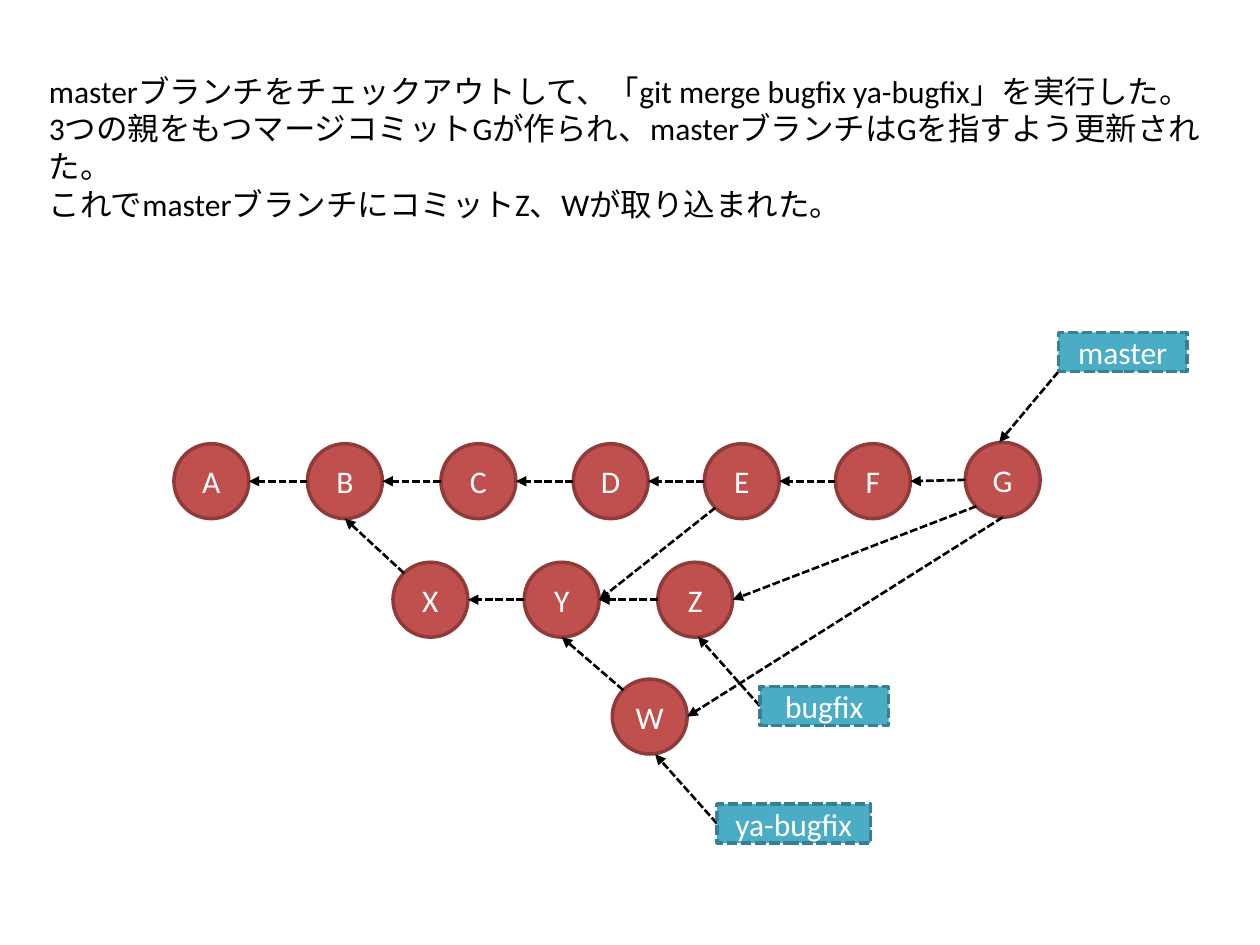
from math import cos, radians, sin

from pptx import Presentation
from pptx.dml.color import RGBColor
from pptx.enum import dml, shapes, text
from pptx.oxml import parse_xml
from pptx.oxml.ns import nsdecls
from pptx.util import Pt


def colour(value):
    return RGBColor.from_string(value)


class Diagram:
    font, size = "Calibri", 18
    diameter, label_height = 42.8, 22.4
    black, white = "000000", "FFFFFF"

    def __init__(self, slide):
        self.slide = slide

    def style(self, paragraph, ink):
        paragraph.font.name = self.font
        paragraph.font.size = Pt(self.size)
        paragraph.font.color.rgb = colour(ink)

    def description(self, left, top, width, height, lines):
        box = self.slide.shapes.add_textbox(*map(Pt, (left, top, width, height)))
        frame = box.text_frame
        frame.word_wrap = True
        frame.auto_size = text.MSO_AUTO_SIZE.SHAPE_TO_FIT_TEXT
        frame.text = "\n".join(lines)
        for paragraph in frame.paragraphs:
            self.style(paragraph, self.black)

    def node(self, kind, left, top, width, height, name, fill, border):
        node = self.slide.shapes.add_shape(kind, *map(Pt, (left, top, width, height)))
        node.shadow.inherit = False
        node.fill.solid()
        node.fill.fore_color.rgb = colour(fill)
        node.line.color.rgb = colour(border)
        node.line.width = Pt(2)
        frame = node.text_frame
        frame.text = name
        frame.vertical_anchor = text.MSO_ANCHOR.MIDDLE
        frame.paragraphs[0].alignment = text.PP_ALIGN.CENTER
        self.style(frame.paragraphs[0], self.white)
        return node

    def commit(self, name, x, y):
        d = self.diameter
        self.node(shapes.MSO_SHAPE.OVAL, x - d / 2, y - d / 2, d, d,
                  name, "C0504D", "8E3B39")

    def branch(self, name, left, top, width):
        label = self.node(shapes.MSO_SHAPE.RECTANGLE, left, top, width,
                          self.label_height, name, "4BACC6", "377F92")
        label.line.dash_style = dml.MSO_LINE.SQUARE_DOT

    def arrow(self, start, end):
        arrow = self.slide.shapes.add_connector(
            shapes.MSO_CONNECTOR.STRAIGHT, *map(Pt, (*start, *end)))
        arrow.line.color.rgb = colour(self.black)
        arrow.line.width = Pt(1.5)
        arrow.line.dash_style = dml.MSO_LINE.SQUARE_DOT
        arrow.line._get_or_add_ln().append(
            parse_xml(f'<a:tailEnd {nsdecls("a")} type="triangle"/>'))
        arrow._element.spPr.append(parse_xml(f'<a:effectLst {nsdecls("a")}/>'))


presentation = Presentation()
presentation.slide_width, presentation.slide_height = Pt(720), Pt(540)
diagram = Diagram(presentation.slides.add_slide(presentation.slide_layouts[6]))

# Description
diagram.description(20.9, 37.4, 679, 72.7, [
    "masterブランチをチェックアウトして、「git merge bugfix ya-bugfix」を実行した。",
    "3つの親をもつマージコミットGが作られ、masterブランチはGを指すよう更新された。",
    "これでmasterブランチにコミットZ、Wが取り込まれた。",
])

# Commits by centre
commits = {
    "A": (120.8, 275), "B": (197.1, 275), "C": (273.4, 275), "D": (349, 275),
    "E": (423.9, 275), "F": (498.8, 275), "G": (573, 274.2),
    "X": (246, 342.7), "Y": (321, 342.7), "Z": (397.3, 342.7),
    "W": (371.3, 409.5),
}
for name, centre in commits.items():
    diagram.commit(name, *centre)

# Parent arrows: child, angle on its rim, parent, angle on its rim
RIGHT, BOTTOM, BOTTOM_LEFT, LEFT, TOP_LEFT = 0, 90, 135, 180, 225


def rim(name, angle):
    x, y = commits[name]
    radius = diagram.diameter / 2
    return x + radius * cos(radians(angle)), y + radius * sin(radians(angle))


row_links = [(child, LEFT, parent, RIGHT)
             for row in ("ABCDEFG", "XYZ") for parent, child in zip(row, row[1:])]
cross_links = [
    ("X", TOP_LEFT, "B", BOTTOM),
    ("W", TOP_LEFT, "Y", BOTTOM),
    ("E", BOTTOM_LEFT, "Y", RIGHT),
    ("G", BOTTOM_LEFT, "Z", RIGHT),
    ("G", BOTTOM, "W", RIGHT),
]
for child, leave, parent, arrive in row_links + cross_links:
    diagram.arrow(rim(child, leave), rim(parent, arrive))

# Branches: name, left, top, width, arrow drop from the top, arrow tip
height = diagram.label_height
for name, left, top, width, drop, tip in [
    ("master", 604.8, 190, 73.6, height, (571, 252.7)),
    ("bugfix", 434.2, 392.2, 73.6, height / 2, (398.9, 363.8)),
    ("ya-bugfix", 409.7, 459.4, 87.8, height / 2, (374.4, 431)),
]:
    diagram.arrow((left, top + drop), tip)
    diagram.branch(name, left, top, width)

presentation.save("out.pptx")
